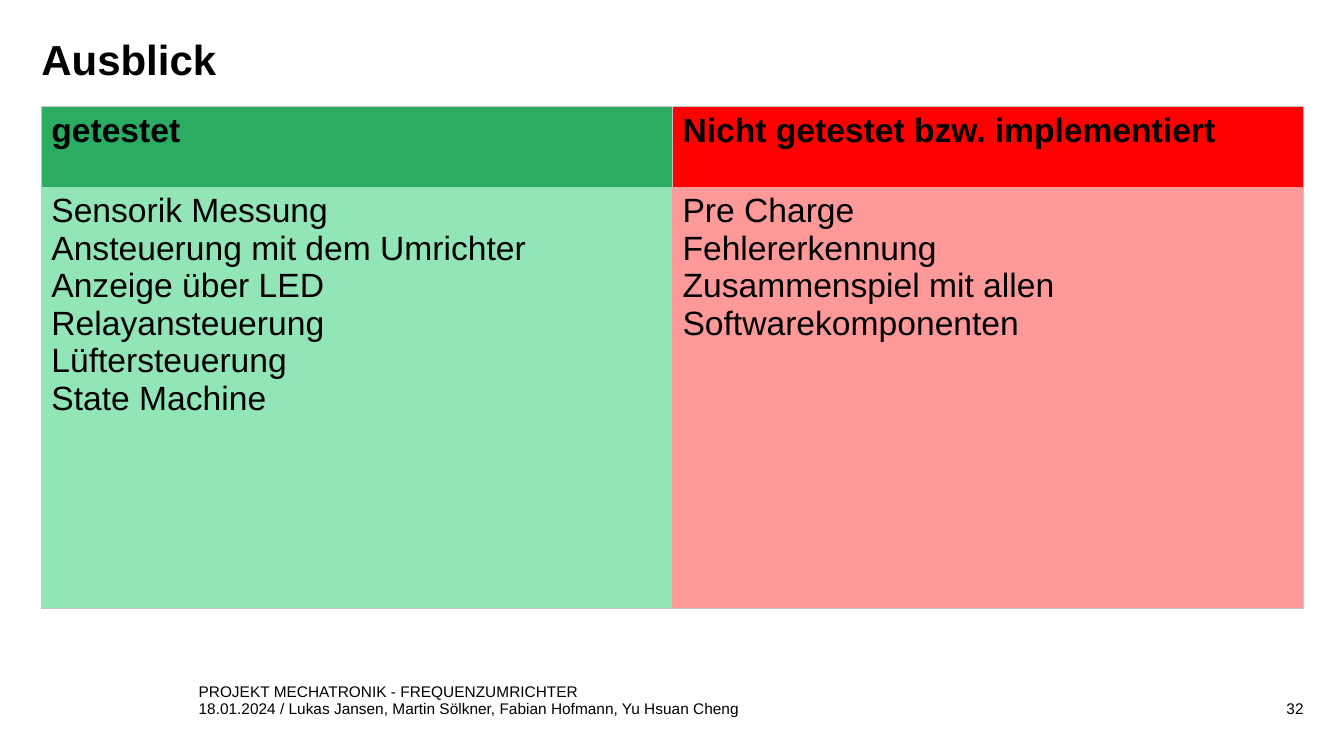
"""Build the outlook slide comparing tested and open project parts."""
import lxml.etree
import pptx
import pptx.dml.color
import pptx.enum.text
import pptx.oxml.ns
import pptx.util

Inches = pptx.util.Inches
Pt = pptx.util.Pt
Color = pptx.dml.color.RGBColor.from_string
Align = pptx.enum.text.PP_ALIGN
Anchor = pptx.enum.text.MSO_ANCHOR
qn = pptx.oxml.ns.qn

THEME = {
    "font": "Arial", "text": "000000", "border": "C6C6C6",
    "title": 30, "table": 24, "footer": 11,
}
MARGIN = 0.41
CONTENT_WIDTH = 12.52


def format_text(frame, size, bold=False, align=Align.LEFT):
    for paragraph in frame.paragraphs:
        paragraph.alignment = align
        for run in paragraph.runs:
            run.font.name = THEME["font"]
            run.font.size = Pt(size)
            run.font.bold = bold
            run.font.color.rgb = Color(THEME["text"])


def set_borders(cell, visible_sides):
    properties = cell._tc.get_or_add_tcPr()
    for position, side in enumerate("LRTB"):
        line = lxml.etree.Element(qn(f"a:ln{side}"), w=str(Pt(1)))
        if side in visible_sides:
            fill = lxml.etree.SubElement(line, qn("a:solidFill"))
            lxml.etree.SubElement(fill, qn("a:srgbClr"), val=THEME["border"])
        else:
            lxml.etree.SubElement(line, qn("a:noFill"))
        properties.insert(position, line)


presentation = pptx.Presentation()
presentation.slide_width = Inches(13.33)
presentation.slide_height = Inches(7.5)
slide = presentation.slides.add_slide(presentation.slide_layouts[5])

title = slide.shapes.title
title.left, title.top = Inches(MARGIN), Inches(0.36)
title.width, title.height = Inches(5.87), Inches(0.71)
heading = title.text_frame
heading.text = "Ausblick"
heading.auto_size = pptx.enum.text.MSO_AUTO_SIZE.NONE
heading.vertical_anchor = Anchor.TOP
heading.margin_left = heading.margin_right = heading.margin_top = heading.margin_bottom = 0
heading.paragraphs[0].line_spacing = 0.97
format_text(heading, THEME["title"], bold=True)

footers = [
    ("18.01.2024 / Lukas Jansen, Martin Sölkner, Fabian Hofmann, Yu Hsuan Cheng",
     1.97, 6.94, 5.6, Anchor.TOP, Align.LEFT),
    ("PROJEKT MECHATRONIK - FREQUENZUMRICHTER", 1.97, 6.7, 5.6, Anchor.BOTTOM, Align.LEFT),
    ("32", 11.53, 6.94, 1.4, Anchor.TOP, Align.RIGHT),
]
for wording, left, top, width, anchor, align in footers:
    footer = slide.shapes.add_textbox(
        Inches(left), Inches(top), Inches(width), Inches(0.25)).text_frame
    footer.text = wording
    footer.word_wrap = True
    footer.vertical_anchor = anchor
    footer.margin_left = footer.margin_right = footer.margin_top = footer.margin_bottom = 0
    format_text(footer, THEME["footer"], align=align)

statuses = [
    [("getestet", "2AAC63", "LTR"),
     ("Sensorik Messung\nAnsteuerung mit dem Umrichter\nAnzeige über LED\n"
      "Relayansteuerung\nLüftersteuerung\nState Machine", "92E5B6", "LB")],
    [("Nicht getestet bzw. implementiert", "FF0000", "LTR"),
     ("Pre Charge\nFehlererkennung\nZusammenspiel mit allen Softwarekomponenten",
      "FD9999", "RB")],
]
overview = slide.shapes.add_table(
    2, 2, Inches(MARGIN), Inches(1.06), Inches(CONTENT_WIDTH), Inches(4.98)).table
overview.horz_banding = False
overview.rows[0].height = Inches(0.8)
overview.rows[1].height = Inches(4.18)
for column, status in enumerate(statuses):
    overview.columns[column].width = Inches(CONTENT_WIDTH / 2)
    for row, (wording, color, sides) in enumerate(status):
        cell = overview.cell(row, column)
        cell.text_frame.text = wording
        cell.fill.solid()
        cell.fill.fore_color.rgb = Color(color)
        set_borders(cell, sides)
        format_text(cell.text_frame, THEME["table"], bold=row == 0)

presentation.save("out.pptx")
